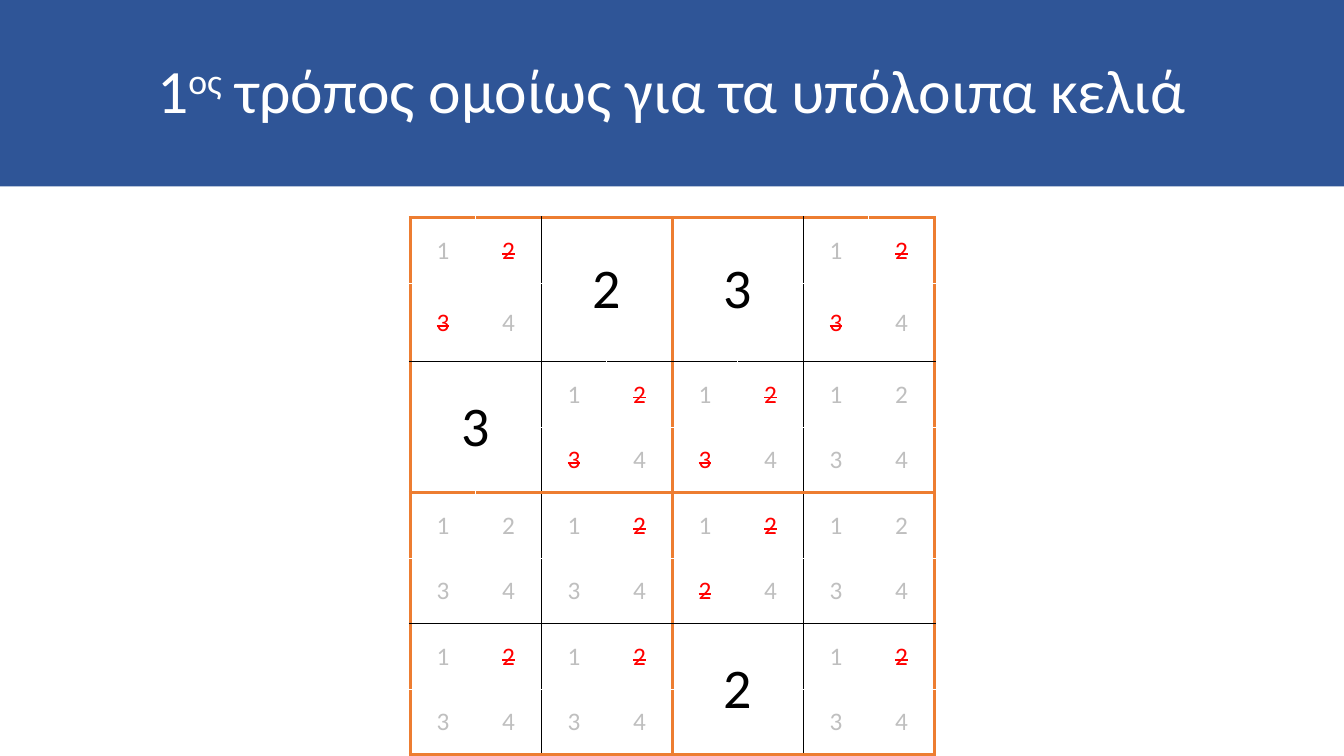
from typing import Any, NamedTuple

from lxml import etree
from pptx import Presentation, util as u
from pptx.dml.color import RGBColor
from pptx.enum import shapes, text
from pptx.oxml import ns

HUES = {"band": "2F5597", "white": "FFFFFF", "black": "000000",
        "zone": "ED7D31", "mark": "BFBFBF", "cut": "FF0000"}
SIDE = 46.8
TALL = 56


class Box(NamedTuple):
    """A sudoku box: one solved digit, or four candidates with some cut."""
    marks: str
    cut: str = ""


BOXES = [
    [Box("1234", "23"), Box("2"), Box("3"), Box("1234", "23")],
    [Box("3"), Box("1234", "23"), Box("1234", "23"), Box("1234")],
    [Box("1234"), Box("1234", "2"), Box("1224", "2"), Box("1234")],
    [Box("1234", "2"), Box("1234", "2"), Box("2"), Box("1234", "2")],
]


def put(para: Any, words: str, size: float = 18, hue: str = "mark", **attrs: str) -> None:
    """Add a centred run with its size, colour and extra run attributes."""
    para.alignment = text.PP_ALIGN.CENTER
    run = para.add_run()
    run.text = words
    run.font.name = "Calibri"
    run.font.size = u.Pt(size)
    run.font.color.rgb = RGBColor.from_string(HUES[hue])
    for key, val in attrs.items():
        run.font._element.set(key, val)


def edge(line: int) -> tuple[str, float]:
    """Give the colour and width of a grid line by its number."""
    if line % 4 == 0:
        return "zone", 2.25
    return ("white" if line % 2 else "black"), 1


def rule(cell: Any, row: int, col: int, span: int = 1) -> None:
    """Clear the fill of a cell and draw its four borders."""
    cell.fill.background()
    props = cell._tc.get_or_add_tcPr()
    lines = {"lnL": col, "lnR": col + span, "lnT": row, "lnB": row + span}
    for spot, (tag, line) in enumerate(lines.items()):
        hue, width = edge(line)
        node = etree.Element(ns.qn(f"a:{tag}"), w=str(u.Pt(width)))
        fill = etree.SubElement(node, ns.qn("a:solidFill"))
        etree.SubElement(fill, ns.qn("a:srgbClr"), val=HUES[hue])
        props.insert(spot, node)


def fill_box(grid: Any, top: int, left: int, box: Box) -> None:
    """Fill the two by two cells of one box."""
    solved = len(box.marks) == 1
    if solved:
        grid.cell(top, left).merge(grid.cell(top + 1, left + 1))
    for spot in range(4):
        row, col = top + spot // 2, left + spot % 2
        cell = grid.cell(row, col)
        cell.vertical_anchor = text.MSO_ANCHOR.MIDDLE
        rule(cell, row, col, 2 if solved and spot == 0 else 1)
        para = cell.text_frame.paragraphs[0]
        if not solved:
            mark = box.marks[spot]
            look = {"hue": "cut", "strike": "sngStrike"} if mark in box.cut else {}
            put(para, mark, **look)
        elif spot == 0:
            put(para, box.marks, size=40, hue="black")


def add_title(slide: Any) -> None:
    """Draw the title band."""
    band = slide.shapes.add_shape(shapes.MSO_SHAPE.RECTANGLE, 0, 0, u.Pt(960), u.Pt(133.2))
    band.shadow.inherit = False
    band.fill.solid()
    band.fill.fore_color.rgb = RGBColor.from_string(HUES["band"])
    band.line.fill.background()
    band.text_frame.word_wrap = True
    band.text_frame.vertical_anchor = text.MSO_ANCHOR.MIDDLE
    para = band.text_frame.paragraphs[0]
    para.line_spacing = 0.9
    put(para, "1", size=44, hue="white")
    put(para, "ος", size=44, hue="white", baseline="30000")
    put(para, " τρόπος ομοίως για τα υπόλοιπα κελιά", size=44, hue="white")


def add_grid(slide: Any) -> None:
    """Draw the sudoku table."""
    high = SIDE * 7 + TALL
    grid = slide.shapes.add_table(
        8, 8, u.Pt(293), u.Pt(155.6), u.Pt(SIDE * 8), u.Pt(high)).table
    grid.first_row = grid.horz_banding = False
    for num in range(8):
        grid.columns[num].width = u.Pt(SIDE)
        grid.rows[num].height = u.Pt(TALL if num == 1 else SIDE)
    for row, line in enumerate(BOXES):
        for col, box in enumerate(line):
            fill_box(grid, row * 2, col * 2, box)


def main() -> None:
    """Build and save the slide."""
    deck = Presentation()
    deck.slide_width, deck.slide_height = u.Pt(960), u.Pt(540)
    slide = deck.slides.add_slide(deck.slide_layouts[6])
    add_title(slide)
    add_grid(slide)
    deck.save("out.pptx")


main()
